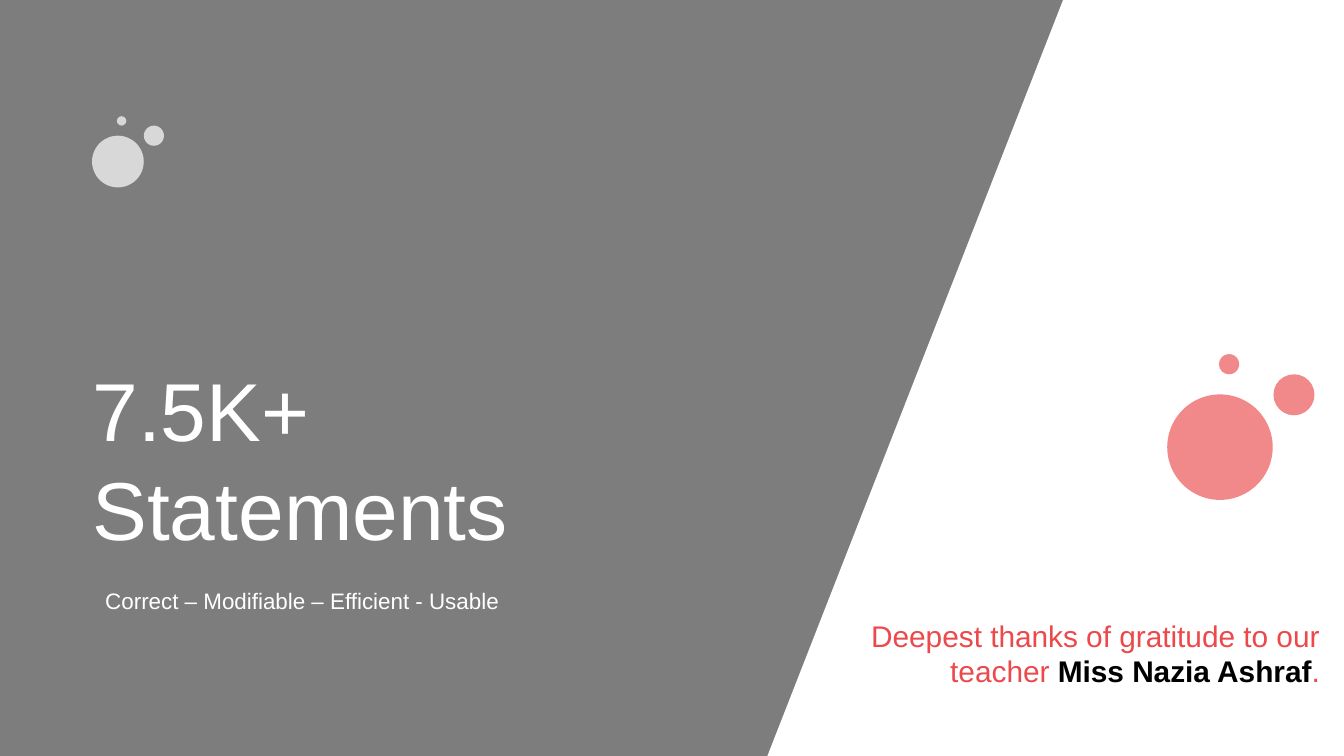
"""Build a closing slide with a headline, a thank-you note and bubble clusters."""
from dataclasses import dataclass

import lxml.etree
import pptx
import pptx.dml.color
import pptx.enum.shapes
import pptx.enum.text
import pptx.oxml.ns
import pptx.util

RGB = pptx.dml.color.RGBColor
SHAPE = pptx.enum.shapes.MSO_SHAPE
ALIGN = pptx.enum.text.PP_ALIGN

EMU_PER_PX = 4572
WIDTH, HEIGHT = 2000, 1125
FONT = "Arial"
WHITE = RGB(0xFF, 0xFF, 0xFF)
BLACK = RGB(0x00, 0x00, 0x00)
GREY = RGB(0x40, 0x40, 0x40)
CORAL = RGB(0xEB, 0x49, 0x4B)


@dataclass
class Circle:
    left: int
    top: int
    size: int


@dataclass
class Cluster:
    circles: list[Circle]
    color: RGB
    opacity: int


@dataclass
class Run:
    text: str
    color: RGB
    bold: bool = False


@dataclass
class TextBox:
    left: int
    top: int
    width: int
    height: int
    size: int
    runs: list[Run]
    align: ALIGN = ALIGN.LEFT
    space_before: float = 0


CLUSTERS = [
    Cluster([Circle(1737, 587, 157), Circle(1895, 557, 61), Circle(1814, 527, 30)], CORAL, 65),
    Cluster([Circle(137, 202, 77), Circle(214, 187, 30), Circle(174, 173, 14)], WHITE, 70),
]

TEXTS = [
    TextBox(1252, 909, 732, 126, 16,
            [Run("Deepest thanks of gratitude to our teacher ", CORAL),
             Run("Miss Nazia Ashraf", BLACK, True),
             Run(".", CORAL)],
            ALIGN.RIGHT, space_before=3.2),
    TextBox(118, 524, 976, 316, 44, [Run("7.5K+ Statements", WHITE)]),
    TextBox(137, 831, 732, 126, 12,
            [Run("Correct – Modifiable – Efficient - Usable", WHITE)], space_before=2.4),
]


def px(n: int) -> int:
    return pptx.util.Emu(n * EMU_PER_PX)


def paint(sp, color: RGB, opacity: int = 100) -> None:
    sp.shadow.inherit = False
    sp.line.fill.background()
    sp.fill.solid()
    sp.fill.fore_color.rgb = color
    if opacity < 100:
        qn = pptx.oxml.ns.qn
        clr = sp.element.spPr.find(qn("a:solidFill")).find(qn("a:srgbClr"))
        lxml.etree.SubElement(clr, qn("a:alpha")).set("val", str(opacity * 1000))


def draw_background(s) -> None:
    panel = s.shapes.add_shape(SHAPE.RECTANGLE, 0, 0, px(WIDTH), px(HEIGHT))
    paint(panel, GREY, 68)
    builder = s.shapes.build_freeform(1582, 0, scale=EMU_PER_PX)
    builder.add_line_segments([(WIDTH, 0), (WIDTH, HEIGHT), (1142, HEIGHT)])
    paint(builder.convert_to_shape(), WHITE)


def draw_cluster(s, cluster: Cluster) -> None:
    group = s.shapes.add_group_shape()
    for c in cluster.circles:
        sp = group.shapes.add_shape(SHAPE.OVAL, px(c.left), px(c.top), px(c.size), px(c.size))
        paint(sp, cluster.color, cluster.opacity)


def draw_text(s, box: TextBox) -> None:
    sp = s.shapes.add_textbox(px(box.left), px(box.top), px(box.width), px(box.height))
    tf = sp.text_frame
    tf.word_wrap = True
    tf.vertical_anchor = pptx.enum.text.MSO_ANCHOR.MIDDLE
    p = tf.paragraphs[0]
    p.alignment = box.align
    p.space_before = pptx.util.Pt(box.space_before)
    for run in box.runs:
        r = p.add_run()
        r.text = run.text
        r.font.name = FONT
        r.font.size = pptx.util.Pt(box.size)
        r.font.bold = run.bold
        r.font.color.rgb = run.color


def main() -> None:
    prs = pptx.Presentation()
    prs.slide_width, prs.slide_height = px(WIDTH), px(HEIGHT)
    s = prs.slides.add_slide(prs.slide_layouts[6])
    draw_background(s)
    for cluster in CLUSTERS:
        draw_cluster(s, cluster)
    for box in TEXTS:
        draw_text(s, box)
    prs.save("out.pptx")


if __name__ == "__main__":
    main()
